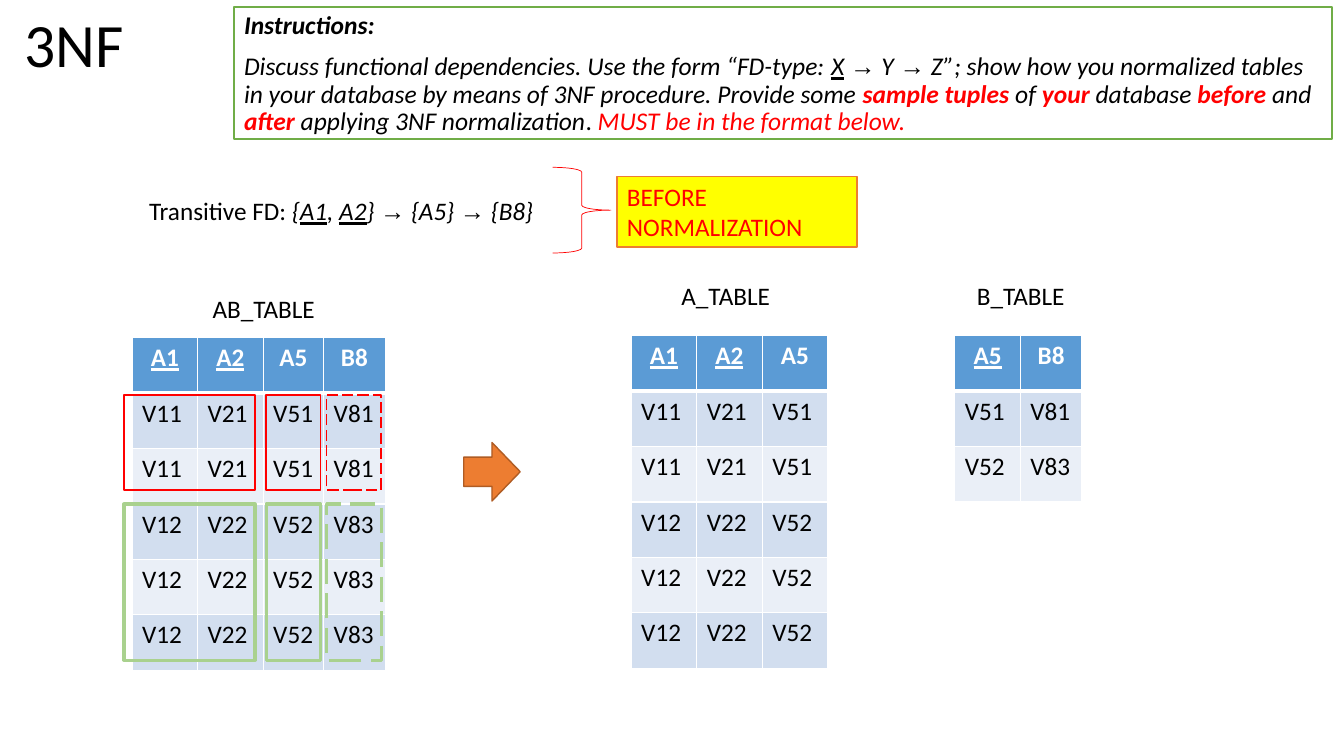
from lxml import etree
from pptx import Presentation
from pptx import util as u
from pptx.dml.color import RGBColor
from pptx.enum import dml, shapes, text
from pptx.oxml.ns import qn

COLORS = {
    "black": "000000", "white": "FFFFFF", "red": "FF0000", "yellow": "FFFF00",
    "blue": "5B9BD5", "band_dark": "D2DEEF", "band_light": "EAEFF7",
    "green": "70AD47", "light_green": "A9D18E",
    "orange": "ED7D31", "dark_orange": "AF5C24",
}


def rgb(name):
    return RGBColor.from_string(COLORS[name])


class SlideBuilder:
    """Holds the type style and the current slide."""

    font, size = "Calibri", 18

    def __init__(self, deck):
        self.page = deck.slides.add_slide(deck.slide_layouts[1])

    def place(self, item, at):
        item.left, item.top, item.width, item.height = map(u.Inches, at)

    def add_spans(self, para, spans, size=None):
        """Each span is (text, flags from b, i, u, colour)."""
        for words, flags, color in spans:
            span = para.add_run()
            span.text = words
            font = span.font
            font.name = "Arial" if words == "→" else self.font
            font.size = u.Pt(size or self.size)
            font.color.rgb = rgb(color)
            font.bold, font.italic, font.underline = (f in flags for f in "biu")

    def outline(self, shape, color, width, dashed=False):
        shape.line.color.rgb = rgb(color)
        shape.line.width = u.Pt(width)
        if dashed:
            shape.line.dash_style = dml.MSO_LINE.LONG_DASH

    def title(self, at, words):
        title = self.page.shapes.title
        self.place(title, at)
        frame = title.text_frame
        frame.auto_size = text.MSO_AUTO_SIZE.NONE
        frame.vertical_anchor = text.MSO_ANCHOR.MIDDLE
        para = frame.paragraphs[0]
        para.alignment = text.PP_ALIGN.LEFT
        para.line_spacing = 0.9
        self.add_spans(para, [(words, "", "black")], 44)

    def body(self, at, paragraphs, size):
        body = self.page.placeholders[1]
        self.place(body, at)
        body.fill.solid()
        body.fill.fore_color.rgb = rgb("white")
        self.outline(body, "green", 1)
        frame = body.text_frame
        frame.auto_size = text.MSO_AUTO_SIZE.NONE
        for index, spans in enumerate(paragraphs):
            para = frame.add_paragraph() if index else frame.paragraphs[0]
            para.line_spacing = 0.9
            para.space_before = u.Pt(10)
            self.add_spans(para, spans, size)
            props = para._p.get_or_add_pPr()
            props.set("marL", "0")
            props.set("indent", "0")
            etree.SubElement(props, qn("a:buNone"))

    def label(self, at, spans, wrap=True):
        box = self.page.shapes.add_textbox(*map(u.Inches, at))
        box.text_frame.word_wrap = wrap
        self.add_spans(box.text_frame.paragraphs[0], spans)

    def shape(self, kind, at, line, width, fill=None, dashed=False, words=None):
        shape = self.page.shapes.add_shape(kind, *map(u.Inches, at))
        shape.shadow.inherit = False
        if fill:
            shape.fill.solid()
            shape.fill.fore_color.rgb = rgb(fill)
        else:
            shape.fill.background()
        self.outline(shape, line, width, dashed)
        if words:
            para = shape.text_frame.paragraphs[0]
            para.alignment = text.PP_ALIGN.LEFT
            self.add_spans(para, [(words, "", "red")])

    def borders(self, cell, bottom):
        props = cell._tc.get_or_add_tcPr()
        for index, side in enumerate(("lnL", "lnR", "lnT", "lnB")):
            width = bottom if side == "lnB" else 0.96
            line = etree.Element(qn("a:" + side), w=str(u.Pt(width)))
            fill = etree.SubElement(line, qn("a:solidFill"))
            etree.SubElement(fill, qn("a:srgbClr"), val=COLORS["white"])
            props.insert(index, line)

    def table(self, left, top, widths, keys, rows, row_height=0.55):
        """The first row is the header; columns named in keys are underlined."""
        frame = self.page.shapes.add_table(
            len(rows), len(widths), u.Inches(left), u.Inches(top),
            u.Inches(sum(widths)), u.Inches(row_height * len(rows)))
        table = frame.table
        for column, width in zip(table.columns, widths):
            column.width = u.Inches(width)
        for r, row in enumerate(rows):
            table.rows[r].height = u.Inches(row_height)
            for c, value in enumerate(row):
                cell = table.cell(r, c)
                para = cell.text_frame.paragraphs[0]
                cell.fill.solid()
                if r == 0:
                    cell.fill.fore_color.rgb = rgb("blue")
                    para.alignment = text.PP_ALIGN.CENTER
                    flags = "bu" if value in keys else "b"
                    self.add_spans(para, [(value, flags, "white")])
                else:
                    band = "band_dark" if r % 2 else "band_light"
                    cell.fill.fore_color.rgb = rgb(band)
                    self.add_spans(para, [(value, "", "black")])
                self.borders(cell, 0.96 if r else 3)


def main():
    deck = Presentation()
    deck.slide_width, deck.slide_height = u.Inches(13.33), u.Inches(7.5)
    slide = SlideBuilder(deck)
    kinds = shapes.MSO_SHAPE

    # Title and instructions
    slide.title((0.14, 0.07, 11.5, 0.81), "3NF")
    slide.body((2.32, 0.07, 10.89, 1.31), [
        [("Instructions:", "bi", "black")],
        [("Discuss functional dependencies. Use the form “FD-type: ", "i", "black"),
         ("X", "iu", "black"), (" ", "i", "black"), ("→", "i", "black"),
         (" Y ", "i", "black"), ("→", "i", "black"),
         (" Z”; show how you normalized tables in your database by means of "
          "3NF procedure. Provide some ", "i", "black"),
         ("sample tuples ", "bi", "red"), ("of ", "i", "black"),
         ("your", "bi", "red"), (" database ", "i", "black"),
         ("before", "bi", "red"), (" and ", "i", "black"),
         ("after", "bi", "red"), (" applying 3NF normalization", "i", "black"),
         (". ", "", "black"), ("MUST be in the format below.", "i", "red")],
    ], 18.2)

    # Transitive dependency
    slide.label((1.38, 1.89, 4.16, 0.4), [
        ("Transitive FD: ", "", "black"), ("{", "i", "black"),
        ("A1", "iu", "black"), (", ", "i", "black"), ("A2", "iu", "black"),
        ("} ", "i", "black"), ("→", "i", "black"), (" {A5} ", "i", "black"),
        ("→", "i", "black"), (" {B8}", "i", "black")], wrap=False)

    # Tables before and after normalization
    first, second = ["V11", "V21", "V51", "V81"], ["V12", "V22", "V52", "V83"]
    tuples = [["A1", "A2", "A5", "B8"]] + [first] * 2 + [second] * 3
    slide.table(1.31, 3.35, [0.65, 0.65, 0.6, 0.61], {"A1", "A2"}, tuples)
    slide.table(6.26, 3.33, [0.65] * 3, {"A1", "A2"}, [row[:3] for row in tuples])
    slide.table(9.47, 3.33, [0.65, 0.61], {"A5"},
                [row[2:] for row in (tuples[0], first, second)])

    # Table names
    for name, left, top in (("AB_TABLE", 2.01, 2.86), ("A_TABLE", 6.66, 2.73),
                            ("B_TABLE", 9.59, 2.73)):
        slide.label((left, top, 1.26, 0.4), [(name, "", "black")])

    # Frames around equal tuples: key, determinant, dependent
    for top, height, color, line in ((3.92, 0.94, "red", 1),
                                     (5, 1.55, "light_green", 2.25)):
        for left, width, dashed in ((1.23, 1.3, False), (2.64, 0.54, False),
                                    (3.24, 0.54, True)):
            slide.shape(kinds.RECTANGLE, (left, top, width, height),
                        color, line, dashed=dashed)

    # Arrow, caption and brace
    slide.shape(kinds.RIGHT_ARROW, (4.6, 4.39, 0.56, 0.58), "dark_orange", 1, "orange")
    slide.shape(kinds.RECTANGLE, (6.12, 1.75, 2.38, 0.7), "orange", 1, "yellow",
                words="BEFORE NORMALIZATION")
    slide.shape(kinds.RIGHT_BRACE, (5.48, 1.66, 0.58, 0.85), "red", 0.5)

    deck.save("out.pptx")


if __name__ == "__main__":
    main()
